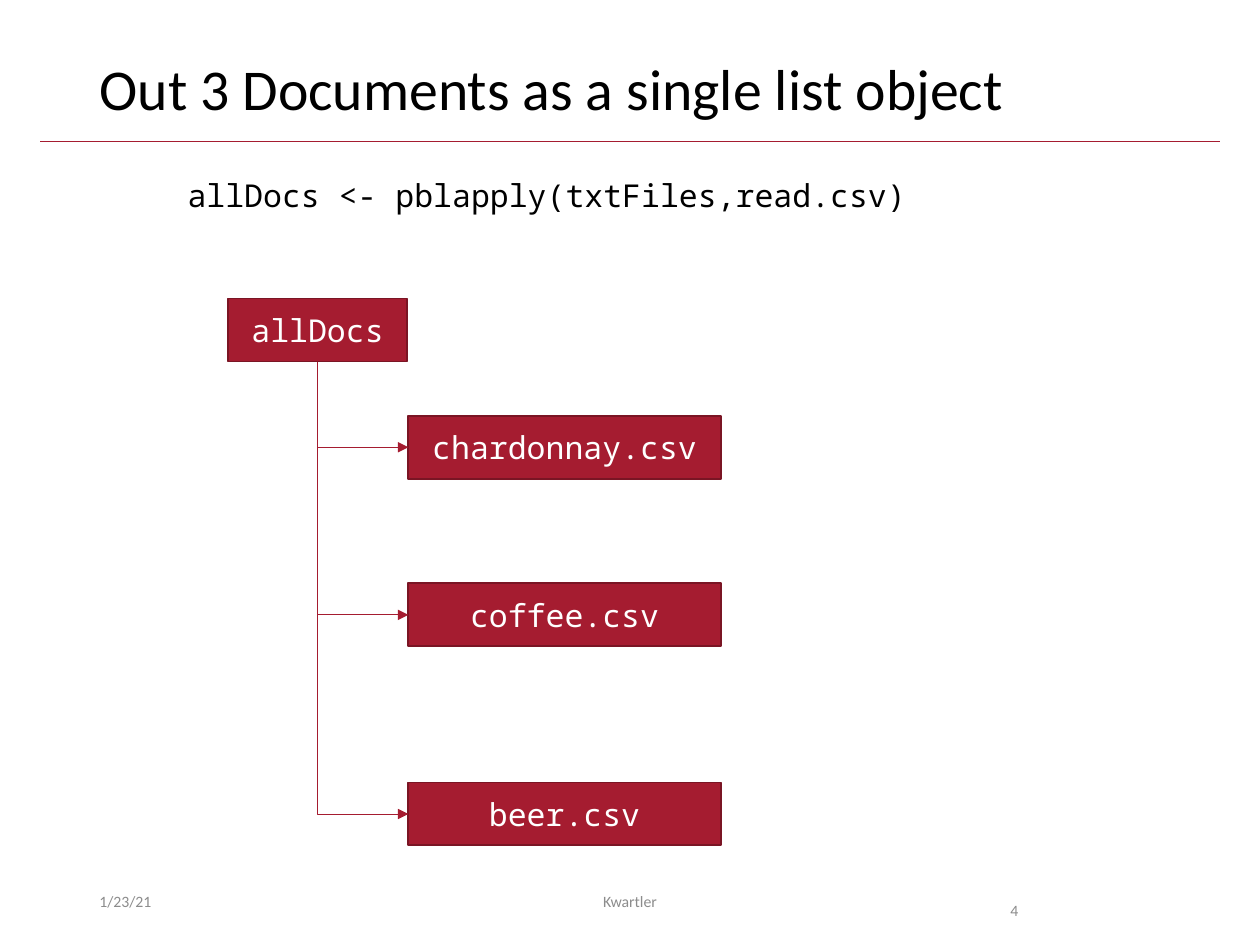
from lxml.etree import SubElement
from pptx import Presentation
from pptx.dml.color import RGBColor
from pptx.enum.shapes import MSO_CONNECTOR as Connector, MSO_SHAPE as Shape
from pptx.enum.text import MSO_ANCHOR as Anchor, PP_ALIGN as Align
from pptx.oxml.ns import qn
from pptx.util import Inches, Pt

CRIMSON = RGBColor(0xA5, 0x1C, 0x30)
DARK_CRIMSON = RGBColor(0x7A, 0x15, 0x24)
BLACK = RGBColor(0, 0, 0)
WHITE = RGBColor(0xFF, 0xFF, 0xFF)
GREY = RGBColor(0x8C, 0x8C, 0x8C)
BODY_FONT = "Calibri"
CODE_FONT = "Noto Sans Mono"


def place(shape, left, top, width, height):
    """Move and size a shape, in inches."""
    shape.left, shape.top = Inches(left), Inches(top)
    shape.width, shape.height = Inches(width), Inches(height)


def write(shape, text, size=18, font=CODE_FONT, color=BLACK,
          align=Align.LEFT, anchor=Anchor.TOP, spacing=None):
    """Put one formatted paragraph into a shape."""
    frame = shape.text_frame
    frame.word_wrap = True
    frame.vertical_anchor = anchor
    paragraph = frame.paragraphs[0]
    paragraph.alignment = align
    paragraph.line_spacing = spacing
    run = paragraph.add_run()
    run.text = text
    run.font.size, run.font.name = Pt(size), font
    run.font.color.rgb = color


def add_text(slide, box, text, **text_format):
    """Add a text box filling the given box."""
    write(slide.shapes.add_textbox(*map(Inches, box)), text, **text_format)


def style_line(connector):
    """Give a connector a thin crimson line without shadow."""
    connector.line.color.rgb = CRIMSON
    connector.line.width = Pt(0.5)
    SubElement(connector._element.spPr, qn("a:effectLst"))


def add_node(slide, left, top, width, height, text):
    """Add a crimson box of the tree."""
    node = slide.shapes.add_shape(
        Shape.RECTANGLE, *map(Inches, (left, top, width, height)))
    node.shadow.inherit = False
    node.fill.solid()
    node.fill.fore_color.rgb = CRIMSON
    node.line.color.rgb = DARK_CRIMSON
    node.line.width = Pt(1)
    write(node, text, color=WHITE, align=Align.CENTER, anchor=Anchor.MIDDLE)
    return node


def add_branch(slide, parent, child):
    """Lead an arrow down from the parent, then right to the child."""
    start_x, start_y = parent.left + parent.width // 2, parent.top + parent.height
    end_x, end_y = child.left, child.top + child.height // 2
    run, drop = end_x - start_x, end_y - start_y
    branch = slide.shapes.add_connector(
        Connector.ELBOW, start_x, start_y, end_x, end_y)
    branch.begin_connect(parent, 2)
    branch.end_connect(child, 1)
    # A two-part elbow goes across first, so it is mirrored and turned.
    branch.left = start_x + (run - drop) // 2
    branch.top = start_y + (drop - run) // 2
    branch.width, branch.height = drop, run
    properties = branch._element.spPr
    properties.find(qn("a:prstGeom")).set("prst", "bentConnector2")
    transform = properties.find(qn("a:xfrm"))
    transform.set("rot", str(270 * 60000))
    transform.set("flipH", "1")
    style_line(branch)
    SubElement(branch.line._get_or_add_ln(), qn("a:tailEnd"), type="triangle")


def add_header(slide, left, top, width, height, text):
    """Set the title and the rule below it."""
    place(slide.shapes.title, left, top, width, height)
    write(slide.shapes.title, text, size=33, font=BODY_FONT,
          anchor=Anchor.MIDDLE, spacing=0.9)
    rule_y = top + height + 0.07
    rule = slide.shapes.add_connector(
        Connector.STRAIGHT, *map(Inches, (0.32, rule_y, 9.68, rule_y)))
    style_line(rule)


def add_tree(slide, left, top, root_text, leaves):
    """Draw a root box and its leaves, given as (offset, text) pairs."""
    height = 0.5
    root = add_node(slide, left, top, 1.42, height, root_text)
    for offset, text in leaves:
        leaf = add_node(slide, left + 1.43, top + offset, 2.48, height, text)
        add_branch(slide, root, leaf)


def add_footer(slide, top, height):
    """Write the date, author and page number."""
    small = dict(size=9, font=BODY_FONT, color=GREY)
    add_text(slide, (0.69, top, 2.25, height), "1/23/21",
             anchor=Anchor.MIDDLE, **small)
    add_text(slide, (3.31, top, 3.38, height), "Kwartler",
             align=Align.CENTER, anchor=Anchor.MIDDLE, **small)
    add_text(slide, (7.92, top, 0.94, height), "4", spacing=2.0, **small)


def main():
    """Build and save the slide."""
    presentation = Presentation()
    presentation.slide_width, presentation.slide_height = Inches(10), Inches(7.5)
    slide = presentation.slides.add_slide(presentation.slide_layouts[5])
    add_header(slide, 0.69, 0.4, 8.62, 0.65,
               "Out 3 Documents as a single list object")
    add_text(slide, (1.39, 1.35, 7.23, 0.4),
             "allDocs <- pblapply(txtFiles,read.csv)")
    add_tree(slide, 1.81, 2.37, "allDocs",
             [(0.93, "chardonnay.csv"), (2.26, "coffee.csv"), (3.84, "beer.csv")])
    add_footer(slide, 6.95, 0.4)
    presentation.save("out.pptx")


main()
